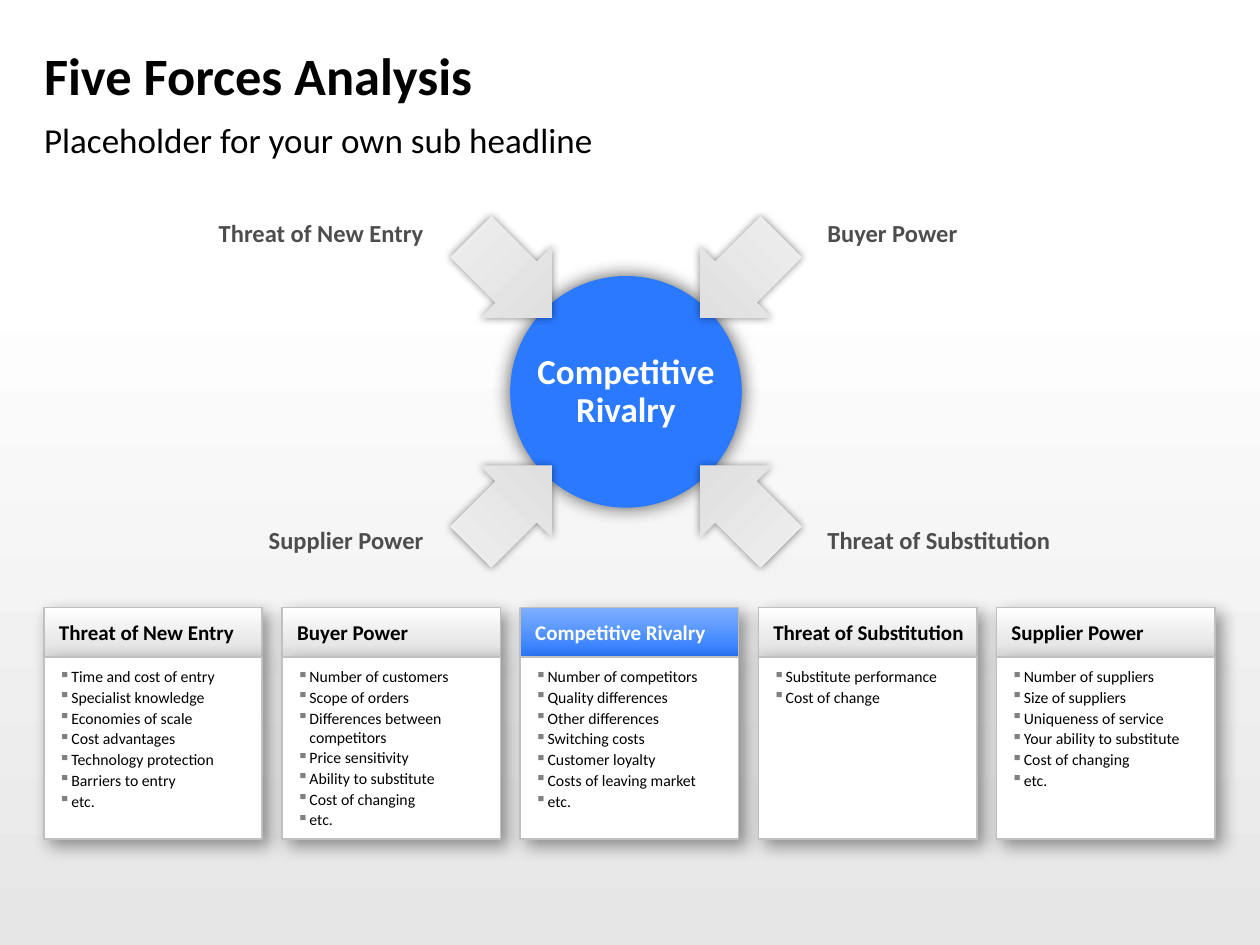
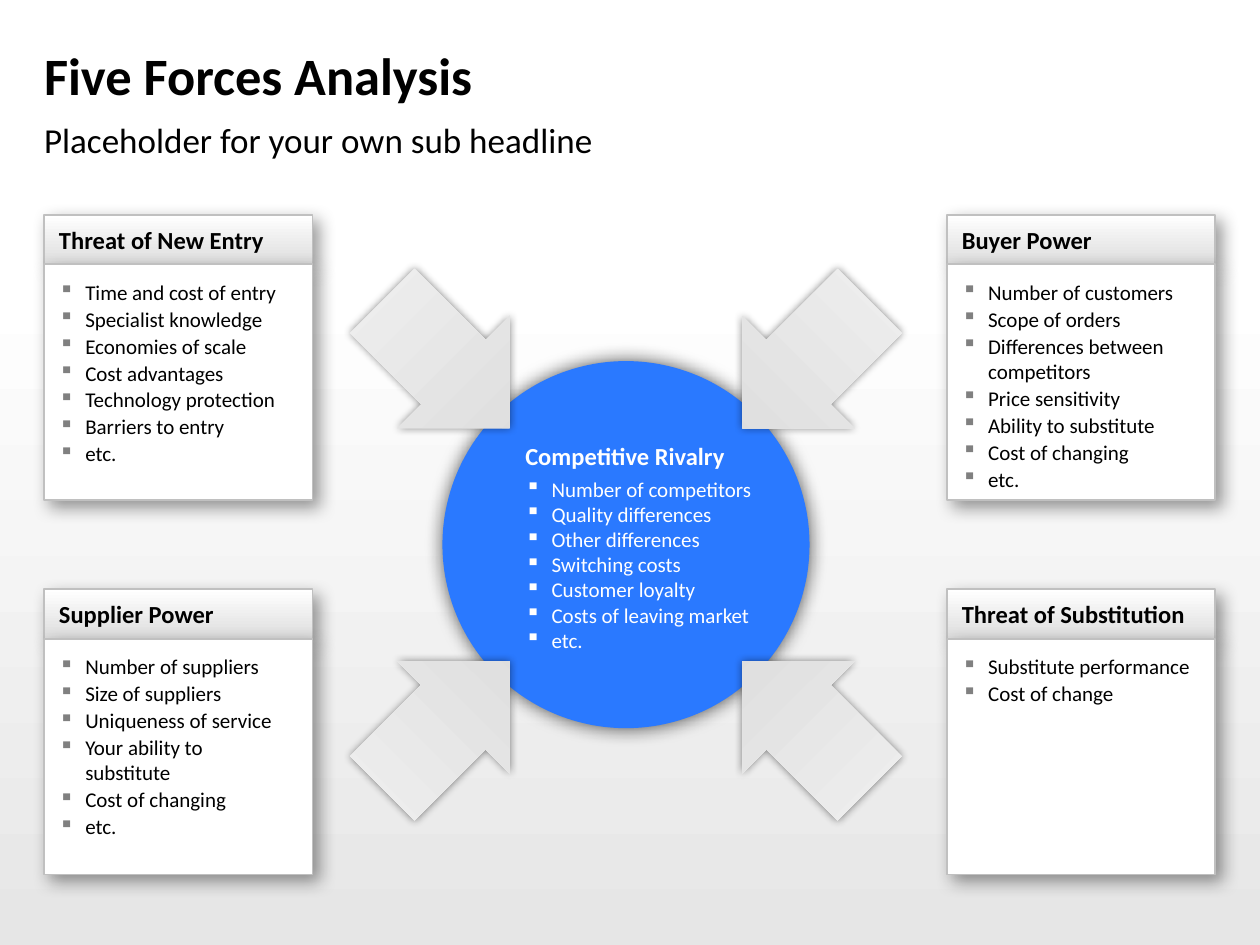
import pptx
import pptx.dml.color
import pptx.enum.shapes
import pptx.enum.text
import pptx.oxml.ns
import pptx.util
from lxml import etree

Cm = pptx.util.Cm
Pt = pptx.util.Pt
SHAPE = pptx.enum.shapes.MSO_SHAPE
ALIGN = pptx.enum.text.PP_ALIGN
ANCHOR = pptx.enum.text.MSO_ANCHOR

FONT = "Calibri"
COLORS = {
    "black": "000000", "white": "FFFFFF", "blue": "2A79FF", "light_blue": "7FAFFF",
    "header_grey": "DDDDDD", "border": "C0C0C0", "bullet": "808080", "label": "4D4D4D",
    "arrow_tail": "F2F2F2", "arrow_head": "D9D9D9", "page_foot": "E6E6E6",
}

# Shadows: opacity %, blur pt, distance pt, direction in degrees
CARD_SHADOW = (40, 10, 5, 45)
CIRCLE_SHADOW = (66, 11, 0, 0)
ARROW_SHADOW = (47, 5, 0, 0)

# Shared measures in cm
SLIDE_WIDTH, SLIDE_HEIGHT = 25.4, 19.05
MARGIN = 0.89
CONTENT_WIDTH = 23.6
BAND_TOP = 5.61
HEADER_HEIGHT = 1.0
CENTRE_X = 12.62

ENTRY, BUYER, RIVALRY = "Threat of New Entry", "Buyer Power", "Competitive Rivalry"
SUBSTITUTION, SUPPLIER = "Threat of Substitution", "Supplier Power"

# Forces in the order of the overview cards
FORCES = {
    ENTRY: ["Time and cost of entry", "Specialist knowledge", "Economies of scale",
            "Cost advantages", "Technology protection", "Barriers to entry", "etc."],
    BUYER: ["Number of customers", "Scope of orders", "Differences between competitors",
            "Price sensitivity", "Ability to substitute", "Cost of changing", "etc."],
    RIVALRY: ["Number of competitors", "Quality differences", "Other differences",
              "Switching costs", "Customer loyalty", "Costs of leaving market", "etc."],
    SUBSTITUTION: ["Substitute performance", "Cost of change"],
    SUPPLIER: ["Number of suppliers", "Size of suppliers", "Uniqueness of service",
               "Your ability to substitute", "Cost of changing", "etc."],
}


def rgb(name):
    return pptx.dml.color.RGBColor.from_string(COLORS[name])


def add_element(parent, tag, **attributes):
    element = etree.SubElement(parent, pptx.oxml.ns.qn(tag))
    for key, value in attributes.items():
        element.set(key, str(value))
    return element


def add_bullet(paragraph, color, hang):
    """Give the paragraph a square bullet with a hanging indent in cm."""
    properties = paragraph._p.get_or_add_pPr()
    properties.set("marL", str(Cm(hang)))
    properties.set("indent", str(-Cm(hang)))
    add_element(add_element(properties, "a:buClr"), "a:srgbClr", val=COLORS[color])
    add_element(properties, "a:buChar", char="▪")


def write(frame, text, size, color="black", bold=False, align=ALIGN.LEFT,
          spacing=None, after=0, bullet=None, hang=0.25):
    """Append one paragraph to the frame, using its empty first one if there is one."""
    paragraph = frame.add_paragraph() if frame.text else frame.paragraphs[0]
    paragraph.text = text
    paragraph.alignment = align
    paragraph.space_after = Pt(after)
    if spacing:
        paragraph.line_spacing = spacing
    if bullet:
        add_bullet(paragraph, bullet, hang)
    for run in paragraph.runs:
        run.font.name = FONT
        run.font.size = Pt(size)
        run.font.bold = bold
        run.font.color.rgb = rgb(color)


def set_frame(shape, insets, anchor=ANCHOR.TOP, wrap=True):
    """Set insets (left, top, right, bottom in cm), anchor and wrapping."""
    frame = shape.text_frame
    frame.margin_left, frame.margin_top, frame.margin_right, frame.margin_bottom = map(Cm, insets)
    frame.vertical_anchor = anchor
    frame.word_wrap = wrap
    return frame


def add_text_frame(slide, left, top, width, height, insets, anchor=ANCHOR.TOP):
    box = slide.shapes.add_textbox(Cm(left), Cm(top), Cm(width), Cm(height))
    return set_frame(box, insets, anchor)


def add_shape(slide, preset, left, top, width, height, fill, angle=0, border=None, shadow=None):
    """Draw a preset; fill is one colour name or a (start, end) gradient."""
    shape = slide.shapes.add_shape(preset, Cm(left), Cm(top), Cm(width), Cm(height))
    if isinstance(fill, tuple):
        shape.fill.gradient()
        shape.fill.gradient_angle = angle
        for stop, name in zip(shape.fill.gradient_stops, fill):
            stop.color.rgb = rgb(name)
    else:
        shape.fill.solid()
        shape.fill.fore_color.rgb = rgb(fill)
    if border:
        shape.line.color.rgb = rgb(border)
        shape.line.width = Pt(1)
    else:
        shape.line.fill.background()
    shape.shadow.inherit = False
    if shadow:
        opacity, blur, distance, direction = shadow
        effects = shape._element.spPr.find(pptx.oxml.ns.qn("a:effectLst"))
        outer = add_element(effects, "a:outerShdw", blurRad=Pt(blur), dist=Pt(distance),
                            dir=direction * 60000, algn="ctr", rotWithShape=0)
        tint = add_element(outer, "a:srgbClr", val=COLORS["black"])
        add_element(tint, "a:alpha", val=opacity * 1000)
    return shape


def add_page(deck):
    """Add a slide with the shaded foot, the title and the sub headline."""
    slide = deck.slides.add_slide(deck.slide_layouts[6])
    add_shape(slide, SHAPE.RECTANGLE, 0, BAND_TOP, SLIDE_WIDTH, SLIDE_HEIGHT - BAND_TOP,
              ("page_foot", "white"), angle=90)
    title = add_text_frame(slide, MARGIN, 0.66, CONTENT_WIDTH, 1.7, (0, 0, 0, 0), ANCHOR.MIDDLE)
    write(title, "Five Forces Analysis", 30, bold=True)
    headline = add_text_frame(slide, MARGIN, 2.39, CONTENT_WIDTH, 0.94, (0, 0, 0, 0))
    write(headline, "Placeholder for your own sub headline", 20)
    return slide


def add_card(slide, force, left, top, width, body_height, header_size, body_size,
             body_insets, hang, highlight=False):
    """Draw a header bar with the force's name over a box with its factors."""
    shades = ("light_blue", "blue") if highlight else ("white", "header_grey")
    header = add_shape(slide, SHAPE.RECTANGLE, left, top, width, HEADER_HEIGHT, shades,
                       angle=270, border="border", shadow=CARD_SHADOW)
    write(set_frame(header, (0.3, 0.2, 0, 0.2), ANCHOR.MIDDLE), force, header_size,
          color="white" if highlight else "black", bold=True)
    body = add_shape(slide, SHAPE.RECTANGLE, left, top + HEADER_HEIGHT, width, body_height,
                     "white", border="border", shadow=CARD_SHADOW)
    frame = set_frame(body, body_insets)
    for factor in FORCES[force]:
        write(frame, factor, body_size, after=1, bullet="bullet", hang=hang)


def add_hub(slide, centre_y, diameter, arrow_offset, arrow_length, arrow_width):
    """Draw the centre circle with four arrows pointing into it; return the circle."""
    circle = add_shape(slide, SHAPE.OVAL, CENTRE_X - diameter / 2, centre_y - diameter / 2,
                       diameter, diameter, "blue", shadow=CIRCLE_SHADOW)
    for side_x, side_y, rotation in ((1, 1, 225), (1, -1, 135), (-1, 1, 315), (-1, -1, 45)):
        arrow = add_shape(slide, SHAPE.RIGHT_ARROW,
                          CENTRE_X + side_x * arrow_offset - arrow_length / 2,
                          centre_y + side_y * arrow_offset - arrow_width / 2,
                          arrow_length, arrow_width, ("arrow_tail", "arrow_head"),
                          shadow=ARROW_SHADOW)
        arrow.adjustments[0] = 0.574
        arrow.adjustments[1] = 0.5
        arrow.rotation = rotation
    return circle


def build_overview(deck):
    slide = add_page(deck)

    # Row of five cards
    card_width, card_gap = 4.4, 0.4
    for column, force in enumerate(FORCES):
        add_card(slide, force, MARGIN + column * (card_width + card_gap), 12.25, card_width, 3.66,
                 12, 9, (0.3, 0.2, 0, 0.2), 0.25, highlight=force == RIVALRY)

    # Hub with arrows
    circle = add_hub(slide, 7.9, 4.67, 2.31, 2.31, 2.03)
    frame = set_frame(circle, (0.25, 0.13, 0.25, 0.13), ANCHOR.MIDDLE, wrap=False)
    write(frame, "Competitive\nRivalry", 20, color="white", bold=True,
          align=ALIGN.CENTER, spacing=0.9, after=4)

    # Names beside the arrows
    for left, align, names in ((1.63, ALIGN.RIGHT, (ENTRY, SUPPLIER)),
                               (16.43, ALIGN.LEFT, (BUYER, SUBSTITUTION))):
        for top, name in zip((4.34, 10.52), names):
            label = add_text_frame(slide, left, top, 7.16, 0.79, (0.25, 0.13, 0.25, 0.13))
            write(label, name, 14, color="label", bold=True, align=align, spacing=0.9, after=3)


def build_detail(deck):
    slide = add_page(deck)

    # Cards in the four corners
    for left, names in ((MARGIN, (ENTRY, SUPPLIER)), (19.09, (BUYER, SUBSTITUTION))):
        for top, force in zip((4.33, 11.88), names):
            add_card(slide, force, left, top, 5.41, 4.75, 14, 12, (0.3, 0.3, 0.4, 0.2), 0.53)

    # Hub with arrows and the rivalry factors
    add_hub(slide, 10.98, 7.4, 3.63, 3.63, 3.2)
    rivalry = add_text_frame(slide, 10.29, 8.66, 5.46, 4.95, (0.3, 0.3, 0.4, 0.2))
    write(rivalry, RIVALRY, 14, color="white", bold=True, spacing=0.9, after=3)
    for factor in FORCES[RIVALRY]:
        write(rivalry, factor, 12, color="white", bullet="white", hang=0.53)


def main():
    deck = pptx.Presentation()
    deck.slide_width, deck.slide_height = Cm(SLIDE_WIDTH), Cm(SLIDE_HEIGHT)
    build_overview(deck)
    build_detail(deck)
    deck.save("out.pptx")


if __name__ == "__main__":
    main()
